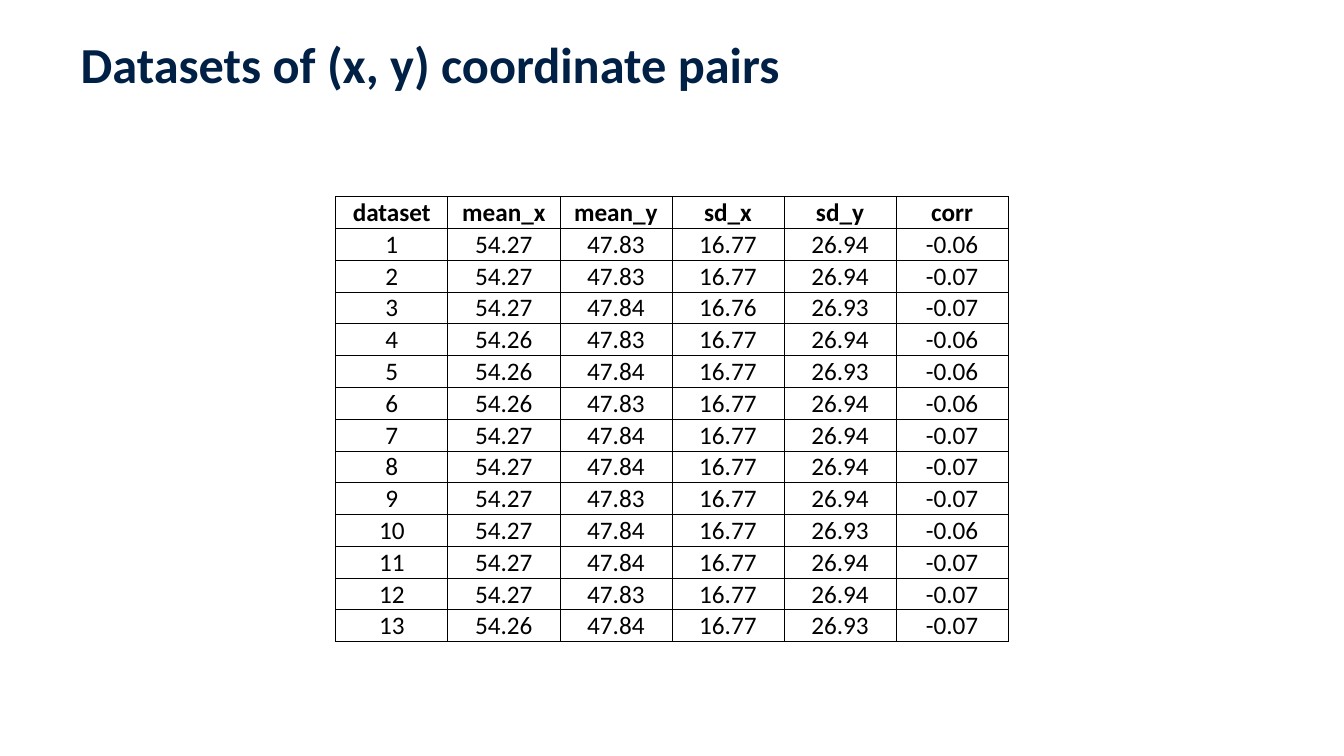
from lxml import etree
from pptx import Presentation
from pptx import util as u
from pptx.dml.color import RGBColor
from pptx.enum import text
from pptx.oxml import ns


def style(para, size, color, bold):
    font = para.font
    font.name, font.size, font.bold = "Calibri", u.Pt(size), bold
    font.color.rgb = RGBColor.from_string(color)


def border(cell, color, width):
    props = cell._tc.get_or_add_tcPr()
    for side in ("lnL", "lnR", "lnT", "lnB"):
        line = etree.SubElement(props, ns.qn("a:" + side), w=str(u.Pt(width)))
        fill = etree.SubElement(line, ns.qn("a:solidFill"))
        etree.SubElement(fill, ns.qn("a:srgbClr"), val=color)


deck = Presentation()
deck.slide_width, deck.slide_height = u.Inches(13.33), u.Inches(7.5)
slide = deck.slides.add_slide(deck.slide_layouts[5])

# Title
title = slide.shapes.title
title.left, title.top = u.Inches(0.7), u.Inches(0.35)
title.width, title.height = u.Inches(11.93), u.Inches(1.24)
frame = title.text_frame
frame.text = "Datasets of (x, y) coordinate pairs"
frame.vertical_anchor = text.MSO_ANCHOR.TOP
frame.auto_size = text.MSO_AUTO_SIZE.NONE
para = frame.paragraphs[0]
para.alignment = text.PP_ALIGN.LEFT
para.line_spacing = 0.9
style(para, 36, "002045", True)

# Summary statistics of each dataset
head = ["dataset", "mean_x", "mean_y", "sd_x", "sd_y", "corr"]
stats = [
    ("54.27", "47.83", "16.77", "26.94", "-0.06"),
    ("54.27", "47.83", "16.77", "26.94", "-0.07"),
    ("54.27", "47.84", "16.76", "26.93", "-0.07"),
    ("54.26", "47.83", "16.77", "26.94", "-0.06"),
    ("54.26", "47.84", "16.77", "26.93", "-0.06"),
    ("54.26", "47.83", "16.77", "26.94", "-0.06"),
    ("54.27", "47.84", "16.77", "26.94", "-0.07"),
    ("54.27", "47.84", "16.77", "26.94", "-0.07"),
    ("54.27", "47.83", "16.77", "26.94", "-0.07"),
    ("54.27", "47.84", "16.77", "26.93", "-0.06"),
    ("54.27", "47.84", "16.77", "26.94", "-0.07"),
    ("54.27", "47.83", "16.77", "26.94", "-0.07"),
    ("54.26", "47.84", "16.77", "26.93", "-0.07"),
]
rows = [head] + [(str(n), *vals) for n, vals in enumerate(stats, 1)]

# Table
table = slide.shapes.add_table(
    len(rows), len(head),
    u.Inches(3.33), u.Inches(1.95), u.Inches(6.67), u.Inches(4.35)).table
table.first_row = table.horz_banding = False
for r, row in enumerate(rows):
    for c, value in enumerate(row):
        cell = table.cell(r, c)
        cell.text = value
        cell.vertical_anchor = text.MSO_ANCHOR.BOTTOM
        cell.margin_left = cell.margin_right = cell.margin_top = u.Inches(0.01)
        cell.margin_bottom = 0
        border(cell, "000000", 0.5)
        cell.fill.background()
        para = cell.text_frame.paragraphs[0]
        para.alignment = text.PP_ALIGN.CENTER
        style(para, 18, "000000", r == 0)

deck.save("out.pptx")
